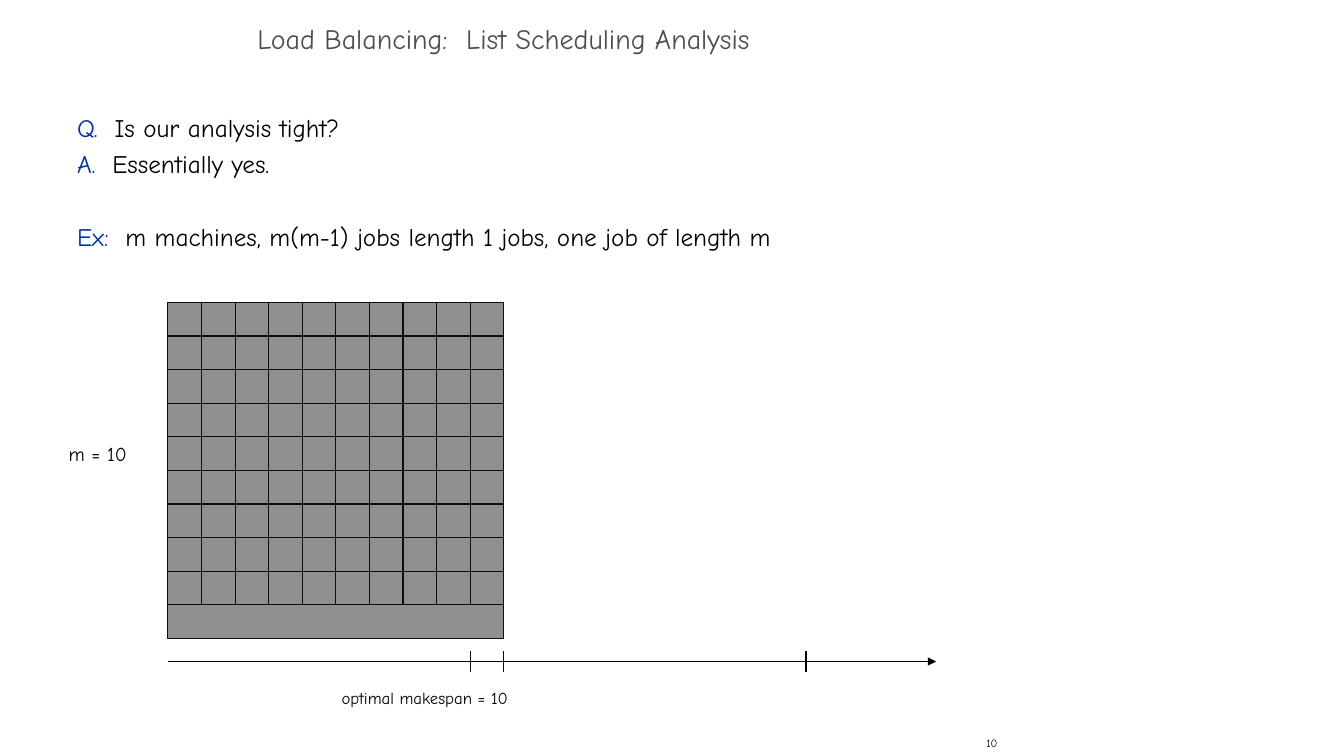
from dataclasses import dataclass

from lxml.etree import SubElement
from pptx import Presentation
from pptx.dml.color import RGBColor
from pptx.enum.shapes import MSO_CONNECTOR as Connector, MSO_SHAPE as Preset
from pptx.enum.text import MSO_ANCHOR as Anchor, MSO_AUTO_SIZE as AutoSize, PP_ALIGN as Align
from pptx.oxml.ns import qn
from pptx.slide import Slide
from pptx.text.text import TextFrame
from pptx.util import Length, Pt

FONT = "Comic Neue"
COLORS = {
    "black": "000000",
    "title": "4D4D4D",
    "lead": "003399",
    "job": "909090",
    "edge": "0D0D0D",
    "white": "FFFFFF",
}
MACHINES = 10
UNIT = 24
GRID_LEFT, GRID_TOP = 120, 216
AXIS_Y, AXIS_END = 472.5, 669
TICK_HEIGHT = 14.4


@dataclass(frozen=True)
class Job:
    machine: int
    start: int
    length: int


@dataclass(frozen=True)
class Statement:
    lead: str
    body: str
    space_before: float = 0


@dataclass(frozen=True)
class Tick:
    time: int
    color: str


@dataclass(frozen=True)
class Label:
    text: str
    left: float
    top: float
    width: float
    height: float
    size: float
    align: Align = Align.LEFT
    anchor: Anchor = Anchor.TOP
    wrap: bool = True
    fill: str | None = None


STATEMENTS = [
    Statement("Q.  ", "Is our analysis tight?"),
    Statement("A.  ", "Essentially yes."),
    Statement("Ex:  ", "m machines, m(m-1) jobs length 1 jobs, one job of length m", 26),
]
JOBS = [Job(machine, start, 1) for machine in range(MACHINES - 1) for start in range(MACHINES)]
JOBS.append(Job(MACHINES - 1, 0, MACHINES))
TICKS = [
    Tick(MACHINES - 1, "edge"),
    Tick(MACHINES, "edge"),
    Tick(2 * MACHINES - 1, "black"),
]
LABELS = [
    Label("10", 570, 522, 150, 18, 8, Align.RIGHT, Anchor.MIDDLE),
    Label("m = 10", 42, 312, 66, 24, 14),
    Label("optimal makespan = 10", 237, 487.5, 134, 21.5, 12, wrap=False, fill="white"),
]


def rgb(color: str) -> RGBColor:
    return RGBColor.from_string(COLORS[color])


def write_paragraph(frame: TextFrame, *parts: tuple[str, str], size: float,
                    align: Align = Align.LEFT, spacing: float | Length | None = None,
                    space_before: float = 0) -> None:
    first = frame.paragraphs[0]
    paragraph = frame.add_paragraph() if first.runs else first
    paragraph.alignment = align
    paragraph.line_spacing = spacing
    paragraph.space_before = Pt(space_before)
    for text, color in parts:
        run = paragraph.add_run()
        run.text = text
        run.font.name = FONT
        run.font.size = Pt(size)
        run.font.color.rgb = rgb(color)


def add_title(slide: Slide, text: str) -> None:
    title = slide.shapes.title
    title.left, title.top, title.width, title.height = Pt(0), Pt(12), Pt(720), Pt(36)
    frame = title.text_frame
    frame.auto_size = AutoSize.NONE
    frame.vertical_anchor = Anchor.MIDDLE
    write_paragraph(frame, (text, "title"), size=20, align=Align.CENTER, spacing=0.7)


def add_statements(slide: Slide) -> None:
    frame = slide.shapes.add_textbox(Pt(48), Pt(72), Pt(618), Pt(426)).text_frame
    frame.word_wrap = True
    for statement in STATEMENTS:
        write_paragraph(frame, (statement.lead, "lead"), (statement.body, "black"),
                        size=18, spacing=Pt(26), space_before=statement.space_before)


def add_job(slide: Slide, job: Job) -> None:
    block = slide.shapes.add_shape(
        Preset.RECTANGLE,
        Pt(GRID_LEFT + job.start * UNIT), Pt(GRID_TOP + job.machine * UNIT),
        Pt(job.length * UNIT), Pt(UNIT))
    block.shadow.inherit = False
    block.fill.solid()
    block.fill.fore_color.rgb = rgb("job")
    block.line.color.rgb = rgb("edge")
    block.line.width = Pt(0.75)


def add_line(slide: Slide, start: tuple[float, float], end: tuple[float, float],
             color: str, arrow: bool = False) -> None:
    line = slide.shapes.add_connector(
        Connector.STRAIGHT, Pt(start[0]), Pt(start[1]), Pt(end[0]), Pt(end[1]))
    line.line.color.rgb = rgb(color)
    line.line.width = Pt(0.75)
    properties = line.element.spPr
    if arrow:
        SubElement(properties.find(qn("a:ln")), qn("a:tailEnd"), type="triangle")
    SubElement(properties, qn("a:effectLst"))


def add_label(slide: Slide, label: Label) -> None:
    box = slide.shapes.add_textbox(
        Pt(label.left), Pt(label.top), Pt(label.width), Pt(label.height))
    if label.fill:
        box.fill.solid()
        box.fill.fore_color.rgb = rgb(label.fill)
    frame = box.text_frame
    frame.word_wrap = label.wrap
    frame.vertical_anchor = label.anchor
    write_paragraph(frame, (label.text, "black"), size=label.size, align=label.align)


def main() -> None:
    deck = Presentation()
    deck.slide_width, deck.slide_height = Pt(960.48), Pt(540)
    slide = deck.slides.add_slide(deck.slide_layouts[5])
    add_title(slide, "Load Balancing:  List Scheduling Analysis")
    add_statements(slide)
    for job in JOBS:
        add_job(slide, job)
    add_line(slide, (GRID_LEFT, AXIS_Y), (AXIS_END, AXIS_Y), "black", arrow=True)
    for tick in TICKS:
        x = GRID_LEFT + tick.time * UNIT
        add_line(slide, (x, AXIS_Y - TICK_HEIGHT / 2), (x, AXIS_Y + TICK_HEIGHT / 2), tick.color)
    for label in LABELS:
        add_label(slide, label)
    deck.save("out.pptx")


if __name__ == "__main__":
    main()
